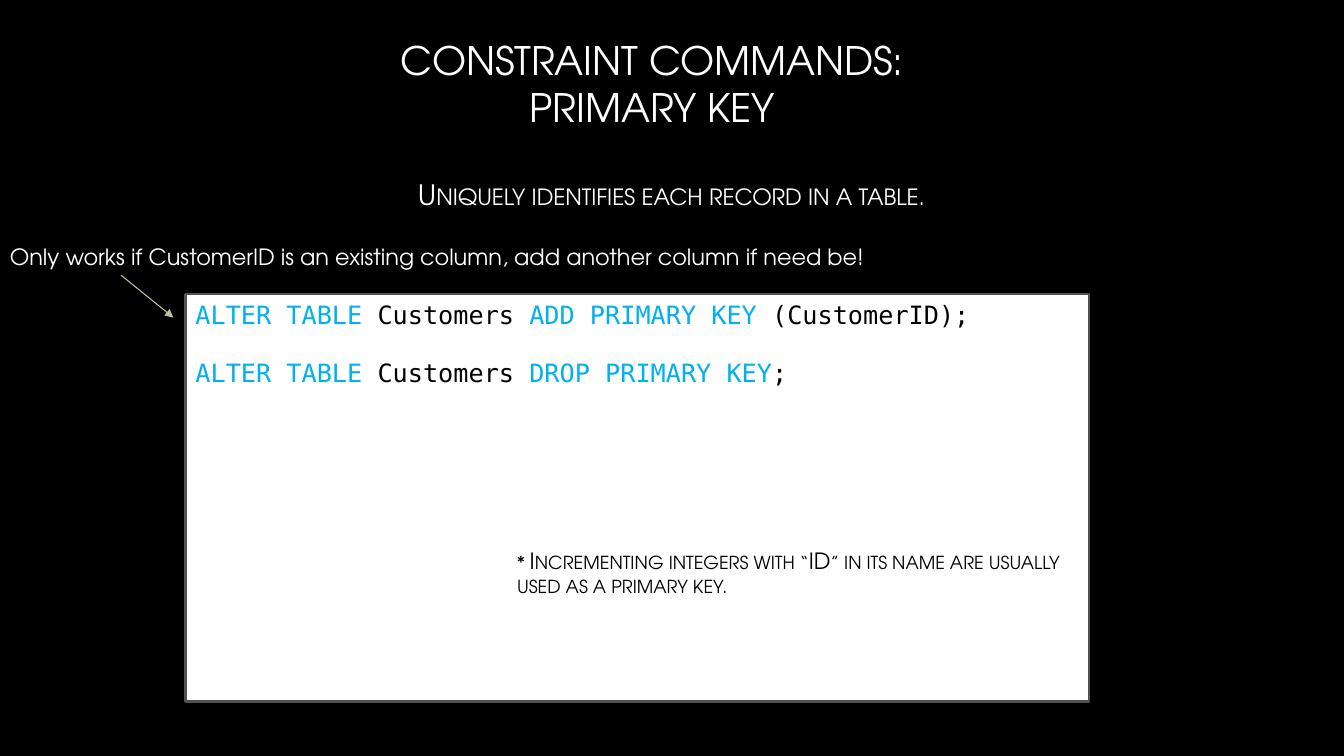
import pptx
import pptx.dml.color
import pptx.enum.dml
import pptx.enum.shapes
import pptx.enum.text
import pptx.oxml
import pptx.oxml.ns
import pptx.util
from pptx.util import Inches

BLACK = pptx.dml.color.RGBColor(0x00, 0x00, 0x00)
WHITE = pptx.dml.color.RGBColor(0xFF, 0xFF, 0xFF)
KEYWORD_BLUE = pptx.dml.color.RGBColor(0x00, 0xB0, 0xF0)
PANEL_EDGE = pptx.dml.color.RGBColor(0x52, 0x52, 0x52)
ARROW_BEIGE = pptx.dml.color.RGBColor(0xBF, 0xBF, 0xA5)

TEXT_FONT = "TeX Gyre Adventor"
CODE_FONT = "DejaVu Sans Mono"
LEFT = pptx.enum.text.PP_ALIGN.LEFT
CENTER = pptx.enum.text.PP_ALIGN.CENTER

# Each statement alternates keywords and identifiers.
STATEMENTS = [
    ["ALTER TABLE ", "Customers ", "ADD PRIMARY KEY ", "(CustomerID);"],
    ["ALTER TABLE ", "Customers ", "DROP PRIMARY KEY", ";"],
]


def style_run(run, size, color, font=TEXT_FONT):
    run.font.size = pptx.util.Pt(size)
    run.font.name = font
    run.font.color.rgb = color


def add_text(slide, box, text, size, color, align=LEFT, small_caps=False):
    """Add a one-paragraph text box and return its text frame."""
    frame = slide.shapes.add_textbox(*map(Inches, box)).text_frame
    frame.word_wrap = True
    frame.text = text
    paragraph = frame.paragraphs[0]
    paragraph.alignment = align
    run = paragraph.runs[0]
    style_run(run, size, color)
    if small_caps:
        paragraph.line_spacing = 0.9
        run.font._element.set("cap", "small")
    return frame


def add_heading(slide, box):
    title = add_text(slide, box, "CONSTRAINT COMMANDS: PRIMARY KEY", 28, WHITE, CENTER)
    title.vertical_anchor = pptx.enum.text.MSO_ANCHOR.MIDDLE


def add_definition(slide, box):
    definition = add_text(slide, box, "Uniquely identifies each record in a table.",
                          20, WHITE, CENTER, small_caps=True)
    definition.margin_top = Inches(0.5)


def add_code_panel(slide, box):
    """Add the white panel with its SQL statements and the footnote."""
    left, top, width, height = box
    panel = slide.shapes.add_shape(
        pptx.enum.shapes.MSO_SHAPE.RECTANGLE, *map(Inches, box))
    panel.shadow.inherit = False
    panel.fill.solid()
    panel.fill.fore_color.rgb = WHITE
    panel.line.color.rgb = PANEL_EDGE
    panel.line.width = pptx.util.Pt(1.5)

    code = slide.shapes.add_textbox(*map(Inches, (left, top, width, 0.98))).text_frame
    code.word_wrap = True
    for index, statement in enumerate(STATEMENTS):
        paragraph = code.add_paragraph() if index else code.paragraphs[0]
        if index:
            paragraph.space_before = pptx.util.Pt(20)
        for position, part in enumerate(statement):
            run = paragraph.add_run()
            run.text = part
            style_run(run, 18, BLACK if position % 2 else KEYWORD_BLUE, CODE_FONT)

    add_text(slide, (left + 3.19, top + 2.49, 5.76, 1.58),
             "* Incrementing integers with “ID” in its name are usually used as a primary key.",
             16, BLACK, small_caps=True)


def add_callout(slide, box):
    """Add the remark and the arrow from it to the code panel."""
    left, top, width, height = box
    remark = add_text(
        slide, box,
        "Only works if CustomerID is an existing column, add another column if need be!",
        16, WHITE)
    remark.word_wrap = False

    start_x, start_y = left + 1.2, top + height
    arrow = slide.shapes.add_connector(
        pptx.enum.shapes.MSO_CONNECTOR.STRAIGHT,
        *map(Inches, (start_x, start_y, start_x + 0.52, start_y + 0.42)))
    arrow.line.color.rgb = ARROW_BEIGE
    arrow.line.width = pptx.util.Pt(0.75)
    arrowhead = pptx.oxml.parse_xml(
        f'<a:tailEnd {pptx.oxml.ns.nsdecls("a")} type="triangle"/>')
    arrow.line._get_or_add_ln().append(arrowhead)
    arrow._element.spPr.append(
        pptx.oxml.parse_xml(f'<a:effectLst {pptx.oxml.ns.nsdecls("a")}/>'))


def main():
    presentation = pptx.Presentation()
    presentation.slide_width = Inches(13.33)
    presentation.slide_height = Inches(7.5)
    slide = presentation.slides.add_slide(presentation.slide_layouts[6])
    slide.background.fill.solid()
    slide.background.fill.fore_color.rgb = BLACK

    add_code_panel(slide, (1.84, 2.92, 8.96, 4.04))
    add_definition(slide, (0.76, 1.3, 11.8, 2.65))
    add_heading(slide, (3.64, 0.02, 5.66, 1.62))
    add_callout(slide, (0, 2.36, 8.73, 0.37))
    presentation.save("out.pptx")


if __name__ == "__main__":
    main()
